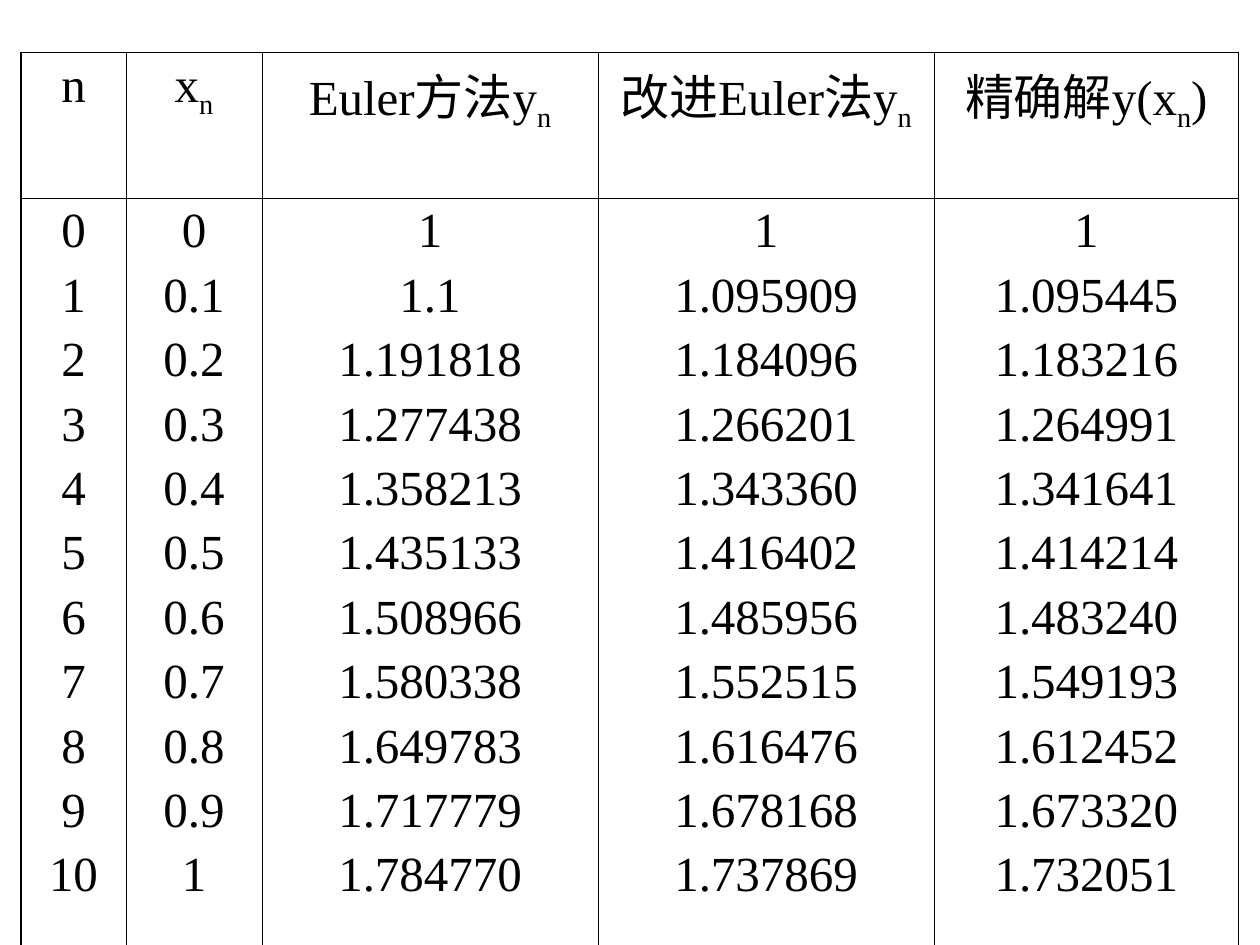
from dataclasses import dataclass

from lxml import etree
from pptx import Presentation
from pptx import util as u
from pptx.dml import color
from pptx.enum import text
from pptx.oxml import ns

COLOURS = {"ink": "000000"}
FONT_FORMAT = {"name": "Times New Roman", "size": u.Pt(28)}
CELL_FORMAT = {
    "margin_left": u.Pt(7.2),
    "margin_right": u.Pt(7.2),
    "margin_top": u.Pt(3.6),
    "margin_bottom": u.Pt(3.6),
}
TABLE_FORMAT = {"first_row": False, "horz_banding": False}
OUTER, INNER = 1.08, 0.45
SUBSCRIPT = "n"
STEP_GAP = 5.8
HEADER_HEIGHT, STEPS_HEIGHT = 79.2, 447.1


@dataclass
class Column:
    width: float
    header: tuple[str, ...]
    values: list[str]


STEPS = range(11)
COLUMNS = [
    Column(60, ("n",), [str(n) for n in STEPS]),
    Column(77.8, ("x", SUBSCRIPT), [f"{n / 10:g}" for n in STEPS]),
    Column(192, ("Euler方法y", SUBSCRIPT), [
        "1", "1.1", "1.191818", "1.277438", "1.358213", "1.435133",
        "1.508966", "1.580338", "1.649783", "1.717779", "1.784770"]),
    Column(192, ("改进Euler法y", SUBSCRIPT), [
        "1", "1.095909", "1.184096", "1.266201", "1.343360", "1.416402",
        "1.485956", "1.552515", "1.616476", "1.678168", "1.737869"]),
    Column(174, ("精确解y(x", SUBSCRIPT, ")"), [
        "1", "1.095445", "1.183216", "1.264991", "1.341641", "1.414214",
        "1.483240", "1.549193", "1.612452", "1.673320", "1.732051"]),
]


def apply_format(target: object, values: dict) -> None:
    for name, value in values.items():
        setattr(target, name, value)


def draw_borders(cell, widths: dict[str, float]) -> None:
    properties = cell._tc.get_or_add_tcPr()
    for side, width in widths.items():
        border = etree.SubElement(properties, ns.qn(f"a:ln{side}"), w=str(u.Pt(width)))
        fill = etree.SubElement(border, ns.qn("a:solidFill"))
        etree.SubElement(fill, ns.qn("a:srgbClr"), val=COLOURS["ink"])


def write_line(paragraph, pieces: tuple[str, ...]) -> None:
    paragraph.alignment = text.PP_ALIGN.CENTER
    for position, piece in enumerate(pieces):
        run = paragraph.add_run()
        run.text = piece
        apply_format(run.font, FONT_FORMAT)
        run.font.color.rgb = color.RGBColor.from_string(COLOURS["ink"])
        if position and piece == SUBSCRIPT:
            run._r.get_or_add_rPr().set("baseline", "-25000")


def fill_cell(cell, lines: list[tuple[str, ...]], borders: dict[str, float]) -> None:
    apply_format(cell, CELL_FORMAT)
    draw_borders(cell, borders)
    cell.fill.background()
    for number, pieces in enumerate(lines):
        if number:
            paragraph = cell.text_frame.add_paragraph()
            paragraph.space_before = u.Pt(STEP_GAP)
        else:
            paragraph = cell.text_frame.paragraphs[0]
        write_line(paragraph, pieces)


def draw_results(slide) -> None:
    heights = (HEADER_HEIGHT, STEPS_HEIGHT)
    results = slide.shapes.add_table(
        len(heights), len(COLUMNS), u.Pt(12), u.Pt(30),
        u.Pt(sum(column.width for column in COLUMNS)), u.Pt(sum(heights)),
    ).table
    apply_format(results, TABLE_FORMAT)
    for row, height in zip(results.rows, heights):
        row.height = u.Pt(height)
    last = len(COLUMNS) - 1
    for index, column in enumerate(COLUMNS):
        results.columns[index].width = u.Pt(column.width)
        sides = {
            "L": INNER if index else OUTER,
            "R": OUTER if index == last else INNER,
        }
        fill_cell(results.cell(0, index), [column.header],
                  sides | {"T": OUTER, "B": INNER})
        fill_cell(results.cell(1, index), [(value,) for value in column.values],
                  sides | {"T": INNER, "B": OUTER})


def main() -> None:
    deck = Presentation()
    apply_format(deck, {"slide_width": u.Pt(720), "slide_height": u.Pt(540)})
    draw_results(deck.slides.add_slide(deck.slide_layouts[6]))
    deck.save("out.pptx")


if __name__ == "__main__":
    main()
